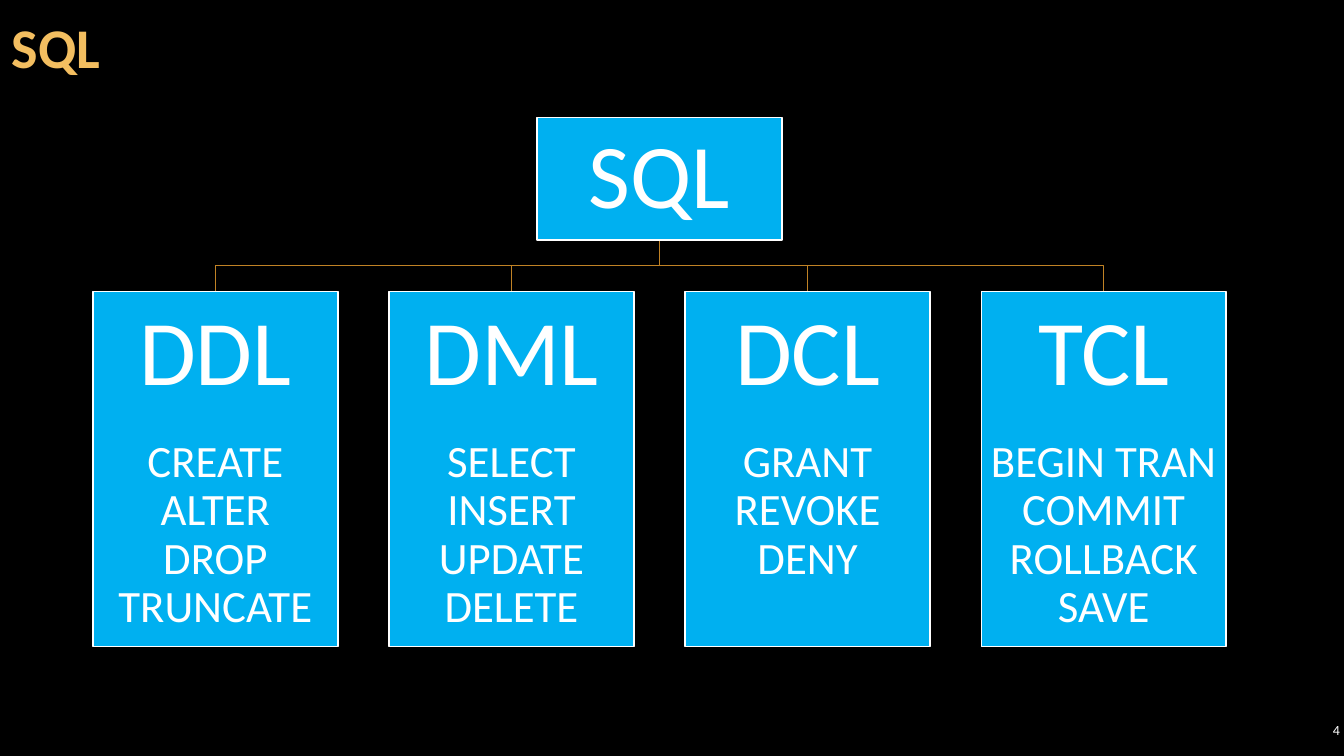
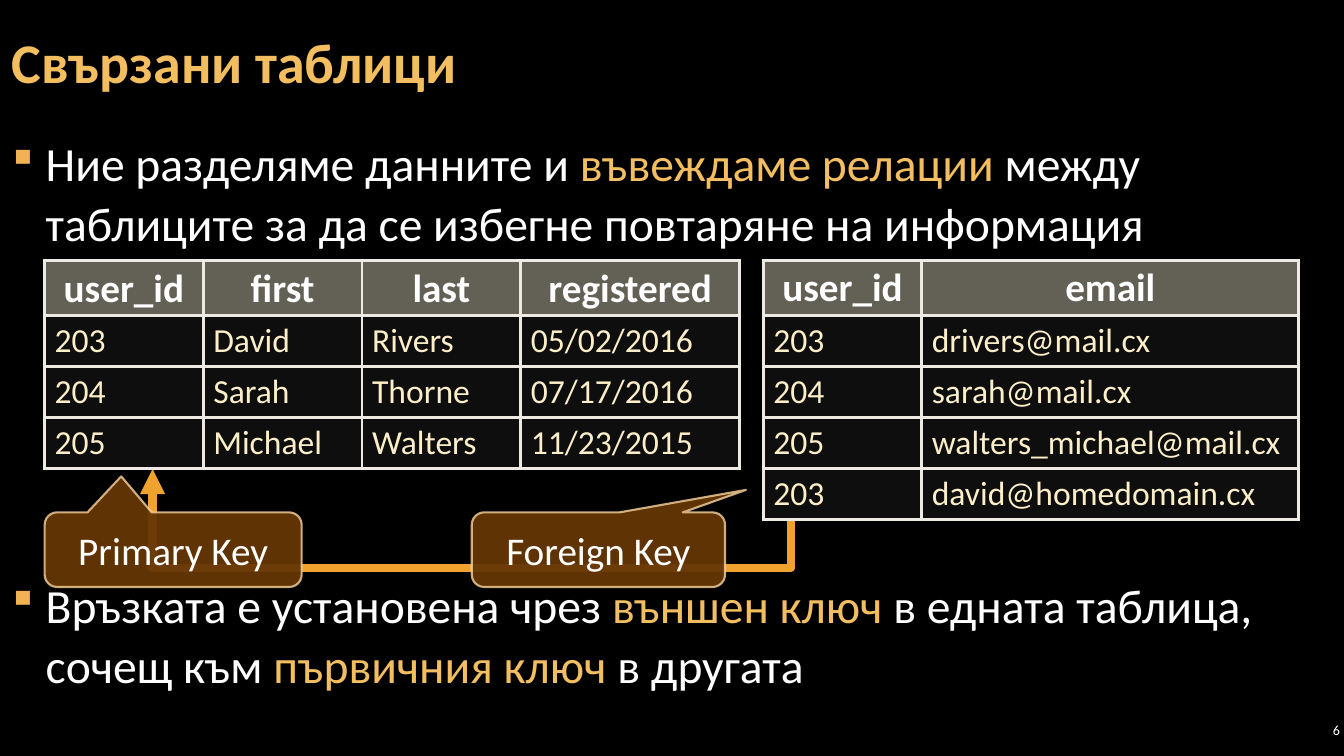
"""Builds two dark slides on SQL: the command families and related tables."""
import dataclasses

import lxml.etree
import pptx
import pptx.dml.color
import pptx.enum.shapes
import pptx.enum.text
import pptx.oxml.ns
import pptx.table
import pptx.util

Pt = pptx.util.Pt
SHAPE = pptx.enum.shapes.MSO_SHAPE
LINE = pptx.enum.shapes.MSO_CONNECTOR
ALIGN = pptx.enum.text.PP_ALIGN
ANCHOR = pptx.enum.text.MSO_ANCHOR
qn = pptx.oxml.ns.qn


@dataclasses.dataclass(frozen=True)
class Theme:
    font: str = "Calibri"
    bullet_font: str = "Wingdings"
    back: str = "000000"
    text: str = "FFFFFF"
    accent: str = "F3BE60"
    bullet: str = "F2B254"
    card: str = "00B0F0"
    branch: str = "C08225"
    arrow: str = "F0A22E"
    callout: str = "663606"
    callout_edge: str = "F8D49E"
    header: str = "C6C0AA"
    cell: str = "464848"
    cell_text: str = "FBEEC9"
    grid: str = "ECEAE3"
    title_size: float = 40
    root_size: float = 65
    family_size: float = 66
    command_size: float = 32
    body_size: float = 34
    header_size: float = 28
    cell_size: float = 24
    callout_size: float = 28
    page_size: float = 10


THEME = Theme()

FAMILIES = {
    "DDL": ["CREATE", "ALTER", "DROP", "TRUNCATE"],
    "DML": ["SELECT", "INSERT", "UPDATE", "DELETE"],
    "DCL": ["GRANT", "REVOKE", "DENY"],
    "TCL": ["BEGIN TRAN", "COMMIT", "ROLLBACK", "SAVE"],
}
MARK = {"color": THEME.accent}
RELATIONS = [
    [("Ние разделяме данните и ", {}), ("въвеждаме релации", MARK),
     (" между таблиците за да се избегне повтаряне на информация", {})],
    [("Връзката е установена чрез ", {}), ("външен ключ ", MARK),
     ("в едната таблица, сочещ към ", {}), ("първичния ключ", MARK),
     (" в другата", {})],
]
USERS = [
    ("user_id", "first", "last", "registered"),
    ("203", "David", "Rivers", "05/02/2016"),
    ("204", "Sarah", "Thorne", "07/17/2016"),
    ("205", "Michael", "Walters", "11/23/2015"),
]
EMAILS = [
    ("user_id", "email"),
    ("203", "drivers@mail.cx"),
    ("204", "sarah@mail.cx"),
    ("205", "walters_michael@mail.cx"),
    ("203", "david@homedomain.cx"),
]
TABLES = [
    (USERS, 31.8, 186.3, (113.4, 113.4, 113.4, 156.4)),
    (EMAILS, 545.2, 186, (113.2, 269.4)),
]
KEYS = [
    ("Primary Key", 31.9, 183.6, (-0.202, -0.983, 0.167)),
    ("Foreign Key", 337, 180.9, (0.583, -0.802, 0.167)),
]


def rgb(color):
    return pptx.dml.color.RGBColor.from_string(color)


def add_xml(parent, tag, **attributes):
    return lxml.etree.SubElement(parent, qn(tag), attributes)


def paint(fill, color, holder=None, alpha=None):
    fill.solid()
    fill.fore_color.rgb = rgb(color)
    if alpha:
        tint = holder.find(qn("a:solidFill")).find(qn("a:srgbClr"))
        add_xml(tint, "a:alpha", val=str(alpha * 1000))


def write(holder, paragraphs, size, color=THEME.text, bold=False, align=ALIGN.LEFT,
          anchor=ANCHOR.MIDDLE, margins=(3.6, 3.6, 3.6, 3.6), leading=1.0,
          before=0, after=0, wrap=True):
    frame = holder.text_frame
    box = holder if isinstance(holder, pptx.table._Cell) else frame
    box.margin_left, box.margin_top, box.margin_right, box.margin_bottom = map(Pt, margins)
    box.vertical_anchor = anchor
    frame.word_wrap = wrap
    for index, runs in enumerate(paragraphs):
        paragraph = frame.add_paragraph() if index else frame.paragraphs[0]
        paragraph.alignment = align
        paragraph.line_spacing = leading
        paragraph.space_before, paragraph.space_after = Pt(before), Pt(after)
        for text, own in [(runs, {})] if isinstance(runs, str) else runs:
            for number, line in enumerate(text.split("\n")):
                if number:
                    paragraph.add_line_break()
                run = paragraph.add_run()
                run.text = line
                run.font.name = THEME.font
                run.font.size = Pt(own.get("size", size))
                run.font.bold = bold
                run.font.color.rgb = rgb(own.get("color", color))
    return frame


def add_text(slide, left, top, width, height, paragraphs, **style):
    box = slide.shapes.add_textbox(Pt(left), Pt(top), Pt(width), Pt(height))
    return write(box, paragraphs, **style)


def add_block(slide, preset, left, top, width, height, color, edge, weight, alpha=None,
              edge_alpha=None):
    block = slide.shapes.add_shape(preset, Pt(left), Pt(top), Pt(width), Pt(height))
    block.shadow.inherit = False
    properties = block._element.spPr
    paint(block.fill, color, properties, alpha)
    paint(block.line.fill, edge, properties.find(qn("a:ln")), edge_alpha)
    block.line.width = Pt(weight)
    return block


def add_slide(deck, title, title_top, page):
    slide = deck.slides.add_slide(deck.slide_layouts[6])
    add_text(slide, 0, title_top, 754, 88, [title], size=THEME.title_size,
             color=THEME.accent, bold=True, leading=0.9, margins=(8.3, 3.6, 8.3, 3.6))
    add_text(slide, 926, 513.6, 34, 16, [page], size=THEME.page_size, align=ALIGN.RIGHT,
             margins=(2.9, 2.9, 2.9, 2.9))
    return slide


def add_branch(slide, start, end, bend):
    """Draws an open path that goes down, across and down again."""
    outline = slide.shapes.build_freeform(Pt(start[0]), Pt(start[1]))
    corners = [(start[0], bend), (end[0], bend), end]
    outline.add_line_segments([(Pt(x), Pt(y)) for x, y in corners], close=False)
    branch = outline.convert_to_shape()
    branch.shadow.inherit = False
    branch.fill.background()
    branch.line.color.rgb = rgb(THEME.branch)
    branch.line.width = Pt(1)


def add_key_arrow(slide, start, end, bend):
    """Draws the three-part arrow as an elbow turned by a quarter."""
    across, rise = start[0] - end[0], start[1] - end[1]
    middle_x, middle_y = (start[0] + end[0]) / 2, (start[1] + end[1]) / 2
    corners = (middle_x + rise / 2, middle_y - across / 2,
               middle_x - rise / 2, middle_y + across / 2)
    arrow = slide.shapes.add_connector(LINE.ELBOW, *map(Pt, corners))
    arrow.line.color.rgb = rgb(THEME.arrow)
    arrow.line.width = Pt(6)
    properties = arrow._element.spPr
    add_xml(properties, "a:effectLst")
    properties.find(qn("a:xfrm")).set("rot", "5400000")
    guides = properties.find(qn("a:prstGeom")).find(qn("a:avLst"))
    share = round((start[1] - bend) / rise * 100000)
    add_xml(guides, "a:gd", name="adj1", fmla=f"val {share}")
    add_xml(properties.find(qn("a:ln")), "a:tailEnd", type="triangle")


def add_grid(slide, rows, left, top, widths):
    heights = [39.2] + [36.45] * (len(rows) - 1)
    table = slide.shapes.add_table(len(rows), len(widths), Pt(left), Pt(top),
                                   Pt(sum(widths)), Pt(sum(heights))).table
    table.first_row = table.horz_banding = False
    for column, width in zip(table.columns, widths):
        column.width = Pt(width)
    for row, height in zip(table.rows, heights):
        row.height = Pt(height)
    head = dict(size=THEME.header_size, bold=True, align=ALIGN.CENTER, leading=0.95,
                margins=(12, 3.6, 12, 3.6))
    entry = dict(size=THEME.cell_size, color=THEME.cell_text, margins=(7.2, 3.6, 7.2, 3.6))
    for r, values in enumerate(rows):
        for c, value in enumerate(values):
            cell = table.cell(r, c)
            write(cell, [value], anchor=ANCHOR.TOP, **(entry if r else head))
            properties = cell._tc.get_or_add_tcPr()
            for side in ("L", "R", "T", "B"):
                border = add_xml(properties, f"a:ln{side}", w=str(Pt(2.25)))
                add_xml(add_xml(border, "a:solidFill"), "a:srgbClr", val=THEME.grid)
            color, alpha = (THEME.cell, 20) if r else (THEME.header, 50)
            paint(cell.fill, color, properties, alpha)


def build_families(deck):
    slide = add_slide(deck, "SQL", -8, "4")
    left, step, width, card_top, card_height = 66.4, 211.5, 175, 208, 254
    root_top, root_height, bus_y = 84, 87.5, 189.8
    lefts = [left + index * step for index in range(len(FAMILIES))]
    center = (lefts[0] + lefts[-1] + width) / 2
    for x in reversed(lefts):
        add_branch(slide, (center, root_top + root_height), (x + width / 2, card_top), bus_y)
    root = add_block(slide, SHAPE.RECTANGLE, center - width / 2, root_top, width, root_height,
                     THEME.card, THEME.text, 1)
    write(root, ["SQL"], THEME.root_size, align=ALIGN.CENTER, leading=0.9)
    most = max(map(len, FAMILIES.values()))
    for x, (family, commands) in zip(lefts, FAMILIES.items()):
        card = add_block(slide, SHAPE.RECTANGLE, x, card_top, width, card_height,
                         THEME.card, THEME.text, 1)
        spare = (most - len(commands)) * THEME.command_size * 1.08
        frame = write(card, [family, [("\n".join(commands), {"size": THEME.command_size})]],
                      THEME.family_size, align=ALIGN.CENTER, leading=0.9,
                      margins=(3.6, 3.6, 3.6, 3.6 + spare))
        frame.paragraphs[0].space_after = Pt(23.4)


def build_relations(deck):
    slide = add_slide(deck, "Свързани таблици", 3, "6")
    add_key_arrow(slide, (565.2, 370), (109, 335), 405.6)
    body = add_text(slide, 0, 90.4, 929.5, 438.5, RELATIONS, size=THEME.body_size,
                    anchor=ANCHOR.TOP, leading=1.05, before=6, after=6,
                    margins=(8.64, 3.6, 8.64, 3.6))
    body.paragraphs[1].space_before = Pt(224)
    for paragraph in body.paragraphs:
        properties = paragraph._p.get_or_add_pPr()
        properties.set("marL", str(Pt(24)))
        properties.set("indent", str(-Pt(24)))
        add_xml(add_xml(properties, "a:buClr"), "a:srgbClr", val=THEME.bullet)
        add_xml(properties, "a:buFont", typeface=THEME.bullet_font, charset="2")
        add_xml(properties, "a:buChar", char="§")
    for table in TABLES:
        add_grid(slide, *table)
    for label, left, width, pointer in KEYS:
        callout = add_block(slide, SHAPE.ROUNDED_RECTANGULAR_CALLOUT, left, 366, width, 53.3,
                            THEME.callout, THEME.callout_edge, 1.5, alpha=95, edge_alpha=80)
        for index, value in enumerate(pointer):
            callout.adjustments[index] = value
        write(callout, [label], THEME.callout_size, align=ALIGN.CENTER, wrap=False,
              margins=(21.6, 7.2, 21.6, 7.2))


def main():
    deck = pptx.Presentation()
    deck.slide_width, deck.slide_height = Pt(960), Pt(540)
    paint(deck.slide_master.background.fill, THEME.back)
    build_families(deck)
    build_relations(deck)
    deck.save("out.pptx")


if __name__ == "__main__":
    main()
